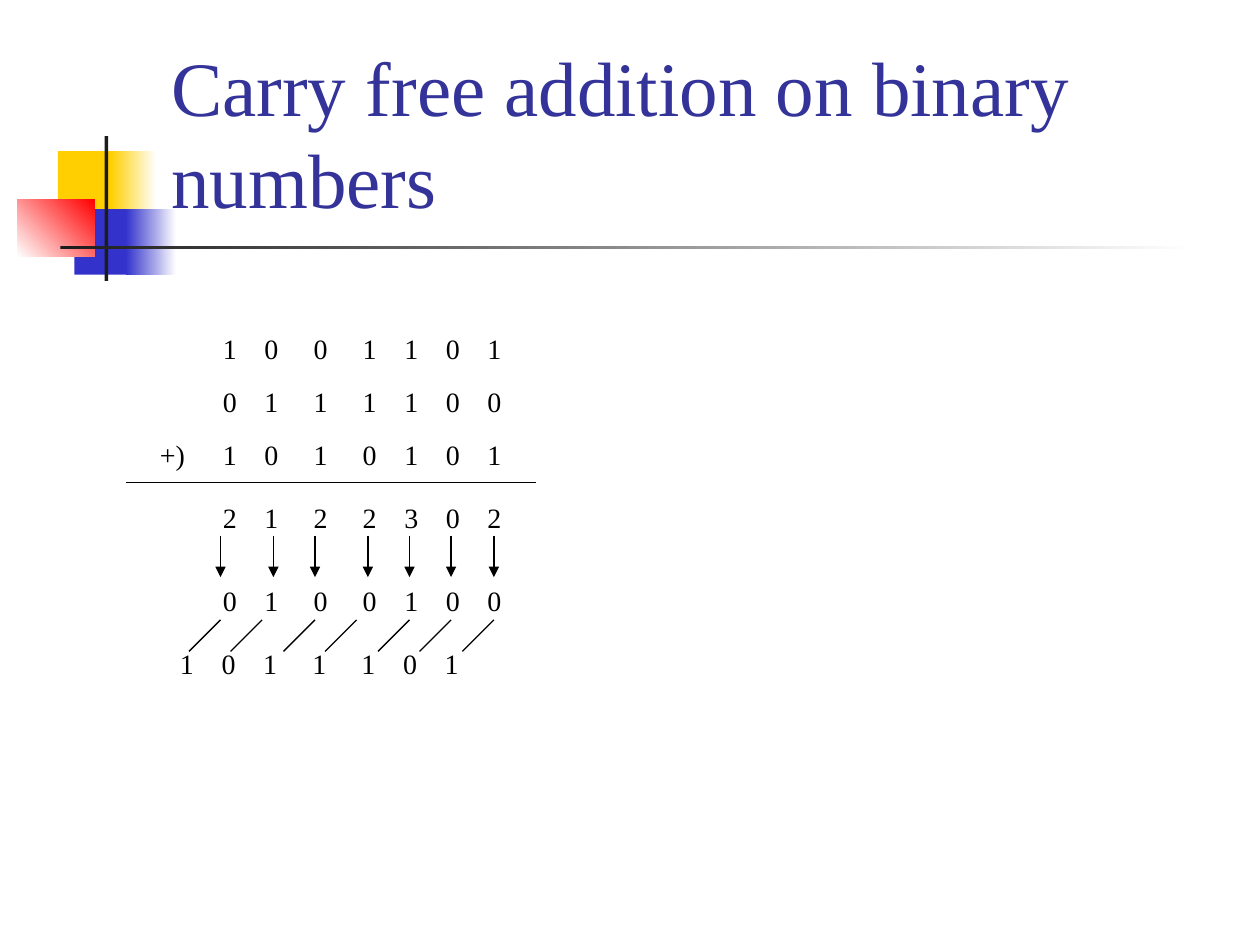
from itertools import accumulate
from typing import NamedTuple, Optional

from lxml.etree import SubElement
from pptx import Presentation
from pptx.dml.color import RGBColor
from pptx.enum.shapes import MSO_CONNECTOR as Connector, MSO_SHAPE as Shape
from pptx.enum.text import MSO_ANCHOR as Anchor, PP_ALIGN as Align
from pptx.oxml.ns import qn
from pptx.util import Inches, Pt

FONT = "Times New Roman"
TITLE_FORMAT = {"name": FONT, "size": Pt(44), "bold": False}
DIGIT_FORMAT = {"name": FONT, "size": Pt(16), "bold": False}
NARROW, WIDE = 0.33, 0.39  # gaps between digit columns


class Block(NamedTuple):
    left: float
    top: float
    width: float
    height: float
    color: str
    end_color: Optional[str] = None
    angle: float = 0


class DigitRow(NamedTuple):
    left: float
    top: float
    digits: str
    gaps: tuple


SUM_GAPS = (NARROW, WIDE, WIDE, NARROW, NARROW, NARROW)
CARRY_GAPS = (NARROW, NARROW, WIDE, WIDE, NARROW, NARROW)

BLOCKS = [
    Block(0.46, 1.2, 0.48, 0.52, "FFCF01"),
    Block(0.88, 1.2, 0.36, 0.52, "FFCF01", "FFFFFF"),
    Block(0.59, 1.66, 0.46, 0.52, "3333CC"),
    Block(1, 1.66, 0.4, 0.52, "3333CC", "FFFFFF"),
    Block(0.14, 1.58, 0.61, 0.46, "FFFFFF", "FF0000", 45),
    Block(0.83, 1.08, 0.03, 1.15, "1C1C1C"),
    Block(0.48, 1.95, 9, 0.03, "1C1C1C", "FFFFFF"),
]
ROWS = [
    DigitRow(1.67, 2.58, "1001101", SUM_GAPS),
    DigitRow(1.67, 3, "0111100", SUM_GAPS),
    DigitRow(1.67, 3.42, "1010101", SUM_GAPS),
    DigitRow(1.67, 3.92, "2122302", SUM_GAPS),
    DigitRow(1.67, 4.58, "0100100", SUM_GAPS),
    DigitRow(1.33, 5.08, "1011101", CARRY_GAPS),
]
ARROW_XS = (1.75, 2.17, 2.5, 2.92, 3.25, 3.58, 3.92)
CARRY_XS = (1.75, 2.08, 2.5, 2.83, 3.25, 3.58, 3.92)


def rgb(color: str) -> RGBColor:
    return RGBColor.from_string(color)


def set_font(font, formats: dict, color: str) -> None:
    for name, value in formats.items():
        setattr(font, name, value)
    font.color.rgb = rgb(color)


def draw_block(shapes, block: Block) -> None:
    shape = shapes.add_shape(Shape.RECTANGLE, *map(Inches, block[:4]))
    shape.shadow.inherit = False
    shape.line.fill.background()
    if block.end_color is None:
        shape.fill.solid()
        shape.fill.fore_color.rgb = rgb(block.color)
        return
    shape.fill.gradient()
    shape.fill.gradient_angle = block.angle
    for stop, color in zip(shape.fill.gradient_stops, (block.color, block.end_color)):
        stop.color.rgb = rgb(color)


def draw_text(shapes, left: float, top: float, width: float, text: str):
    box = shapes.add_textbox(*map(Inches, (left, top, width, 0.37)))
    frame = box.text_frame
    frame.word_wrap = True
    frame.margin_right = 0
    paragraph = frame.paragraphs[0]
    run = paragraph.add_run()
    run.text = text
    set_font(run.font, DIGIT_FORMAT, "000000")
    return paragraph


def draw_row(shapes, row: DigitRow) -> None:
    paragraph = draw_text(shapes, row.left, row.top, 2.42, "\t".join(row.digits))
    # One tab stop per digit column
    tabs = SubElement(paragraph._p.get_or_add_pPr(), qn("a:tabLst"))
    for position in accumulate(row.gaps):
        SubElement(tabs, qn("a:tab"), pos=str(Inches(position)), algn="l")


def draw_line(shapes, x1: float, y1: float, x2: float, y2: float, arrow: bool = False) -> None:
    line = shapes.add_connector(Connector.STRAIGHT, *map(Inches, (x1, y1, x2, y2)))
    line.line.width = Pt(0.75)
    line.line.color.rgb = rgb("000000")
    if arrow:
        SubElement(line.line._get_or_add_ln(), qn("a:tailEnd"), type="triangle")
    SubElement(line._element.spPr, qn("a:effectLst"))


def main() -> None:
    presentation = Presentation()
    presentation.slide_width, presentation.slide_height = Inches(10), Inches(7.5)
    slide = presentation.slides.add_slide(presentation.slide_layouts[5])
    shapes = slide.shapes

    # Corner blocks and rules
    for block in BLOCKS:
        draw_block(shapes, block)

    # Title, in front of the blocks
    title = shapes.title
    title.left, title.top, title.width, title.height = map(Inches, (1.26, 0.23, 8.52, 1.6))
    title.text_frame.text = "Carry free addition on binary numbers"
    title.text_frame.vertical_anchor = Anchor.BOTTOM
    paragraph = title.text_frame.paragraphs[0]
    paragraph.alignment = Align.LEFT
    set_font(paragraph.runs[0].font, TITLE_FORMAT, "333399")
    shapes._spTree.append(title._element)

    # Addition: digit rows, plus sign and sum line
    addition = shapes.add_group_shape().shapes
    for row in ROWS:
        draw_row(addition, row)
    draw_text(addition, 1.17, 3.42, 0.4, "+)")
    draw_line(addition, 1, 3.83, 4.25, 3.83)

    # Arrows to the sum digits, diagonals to the carries
    for x in ARROW_XS:
        draw_line(addition, x, 4.25, x, 4.58, arrow=True)
    for x in CARRY_XS:
        draw_line(addition, x, 4.92, x - 0.25, 5.17)

    presentation.save("out.pptx")


if __name__ == "__main__":
    main()
